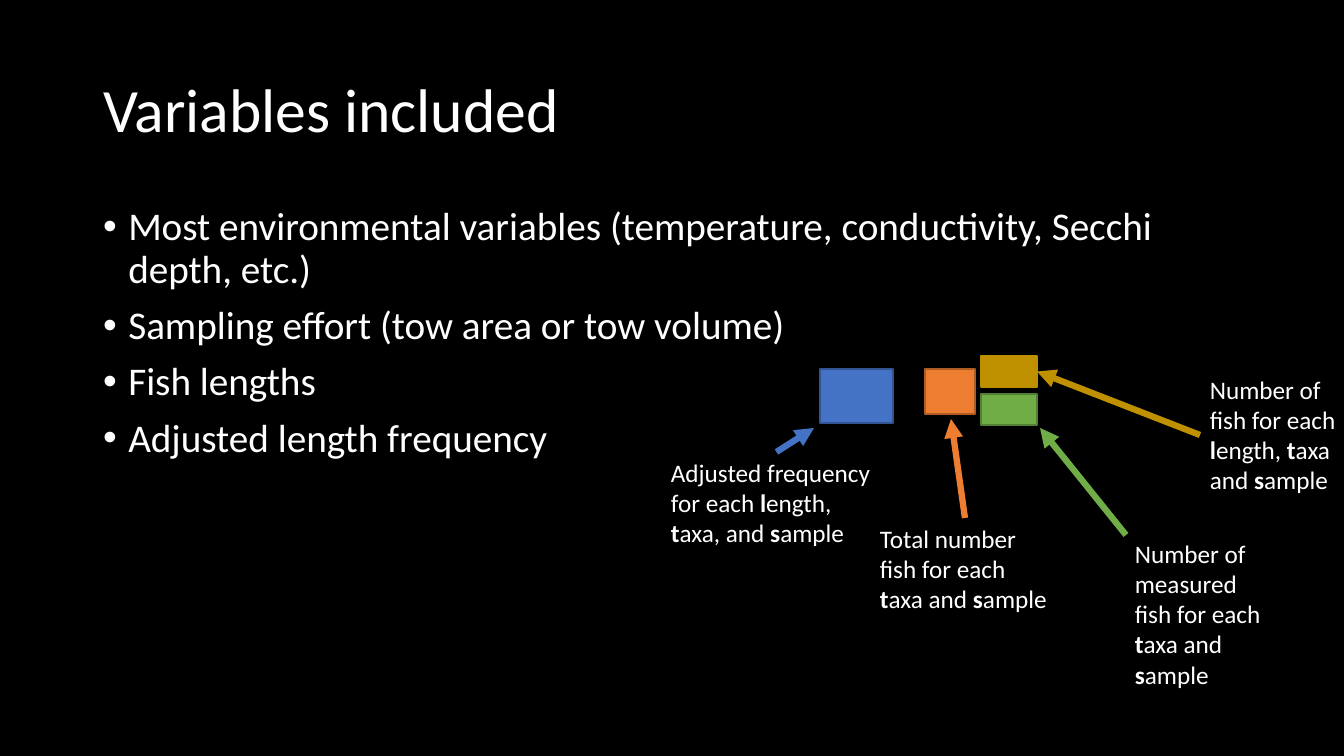
from lxml import etree
from pptx import Presentation
from pptx import util as u
from pptx.dml.color import RGBColor
from pptx.enum import shapes, text
from pptx.oxml.ns import qn

PX = 914400 / 100.8
FONT = "Calibri"
COLOURS = {
    "background": "000000", "text": "FFFFFF",
    "blue": "4472C4", "blue edge": "325491",
    "orange": "ED7D31", "orange edge": "AF5C24",
    "gold": "BF9000", "gold edge": "BD8E00",
    "green": "70AD47", "green edge": "538035",
}
TOP, LEFT, RIGHT = 0, 1, 3

BULLETS = [
    "Most environmental variables (temperature, conductivity, Secchi depth, etc.)",
    "Sampling effort (tow area or tow volume)",
    "Fish lengths",
    "Adjusted length frequency",
]
BLOCKS = {
    "orange": (925, 369, 50, 45),
    "gold": (981, 356, 56, 31),
    "green": (981, 394, 56, 31),
    "blue": (820, 369, 73, 54),
}
LABELS = {
    "blue": ((661, 452, 231, 102),
             "Adjusted frequency for each *l*ength, *t*axa, and *s*ample"),
    "orange": ((870, 518, 190, 102),
               "Total number fish for each *t*axa and *s*ample"),
    "gold": ((1200, 369, 150, 132),
             "Number of fish for each *l*ength, *t*axa and *s*ample"),
    "green": ((1125, 533, 150, 163),
              "Number of measured fish for each *t*axa and *s*ample"),
}
ARROWS = {
    "gold": ((1200, 435), (1037, 371), LEFT, RIGHT),
    "green": ((1126, 535), (1040, 428), None, None),
    "orange": ((965, 518), (951, 419), TOP, None),
    "blue": ((777, 452), (814, 428), TOP, None),
}


def emu(*lengths):
    return [u.Emu(round(length * PX)) for length in lengths]


def colour(name):
    return RGBColor.from_string(COLOURS[name])


def add_run(para, words, size, bold=False):
    span = para.add_run()
    span.text = words
    span.font.name = FONT
    span.font.size = u.Pt(size)
    span.font.bold = bold
    span.font.color.rgb = colour("text")


def place(holder, area):
    holder.left, holder.top, holder.width, holder.height = emu(*area)
    holder.text_frame.auto_size = text.MSO_AUTO_SIZE.NONE
    return holder.text_frame


def fill_title(page, words):
    frame = place(page.shapes.title, (93, 40, 1159, 146))
    frame.vertical_anchor = text.MSO_ANCHOR.MIDDLE
    para = frame.paragraphs[0]
    para.alignment = text.PP_ALIGN.LEFT
    para.line_spacing = 0.9
    add_run(para, words, 44)


def fill_bullets(page, lines):
    frame = place(page.placeholders[1], (93, 202, 1159, 480))
    for index, line in enumerate(lines):
        para = frame.add_paragraph() if index else frame.paragraphs[0]
        props = para._p.get_or_add_pPr()
        props.set("marL", str(u.Inches(0.25)))
        props.set("indent", str(-u.Inches(0.25)))
        etree.SubElement(props, qn("a:buFont")).set("typeface", "Arial")
        etree.SubElement(props, qn("a:buChar")).set("char", "•")
        para.line_spacing = 0.9
        para.space_before = u.Pt(10 if index else 0)
        add_run(para, line, 28)


def add_block(group, name, area):
    block = group.shapes.add_shape(shapes.MSO_SHAPE.RECTANGLE, *emu(*area))
    block.shadow.inherit = False
    block.fill.solid()
    block.fill.fore_color.rgb = colour(name)
    block.line.color.rgb = colour(name + " edge")
    block.line.width = u.Pt(1)
    return block


def add_label(group, area, words):
    box = group.shapes.add_textbox(*emu(*area))
    box.text_frame.word_wrap = True
    box.text_frame.auto_size = text.MSO_AUTO_SIZE.SHAPE_TO_FIT_TEXT
    para = box.text_frame.paragraphs[0]
    for index, part in enumerate(words.split("*")):
        add_run(para, part, 18, bold=index % 2 == 1)
    return box


def add_arrow(group, name, start, end):
    arrow = group.shapes.add_connector(
        shapes.MSO_CONNECTOR.STRAIGHT, *emu(*start, *end))
    arrow.line.color.rgb = colour(name)
    arrow.line.width = u.Pt(4.5)
    etree.SubElement(arrow.line._get_or_add_ln(), qn("a:tailEnd")).set("type", "triangle")
    etree.SubElement(arrow._element.spPr, qn("a:effectLst"))
    return arrow


def add_formula(page):
    group = page.shapes.add_group_shape()
    blocks = {name: add_block(group, name, area) for name, area in BLOCKS.items()}
    labels = {name: add_label(group, *label) for name, label in LABELS.items()}
    for name, (start, end, label_side, block_side) in ARROWS.items():
        arrow = add_arrow(group, name, start, end)
        if label_side is not None:
            arrow.begin_connect(labels[name], label_side)
        if block_side is not None:
            arrow.end_connect(blocks[name], block_side)


def main():
    deck = Presentation()
    deck.slide_width, deck.slide_height = emu(1344, 756)
    page = deck.slides.add_slide(deck.slide_layouts[1])
    page.background.fill.solid()
    page.background.fill.fore_color.rgb = colour("background")
    fill_title(page, "Variables included")
    fill_bullets(page, BULLETS)
    add_formula(page)
    deck.save("out.pptx")


if __name__ == "__main__":
    main()
